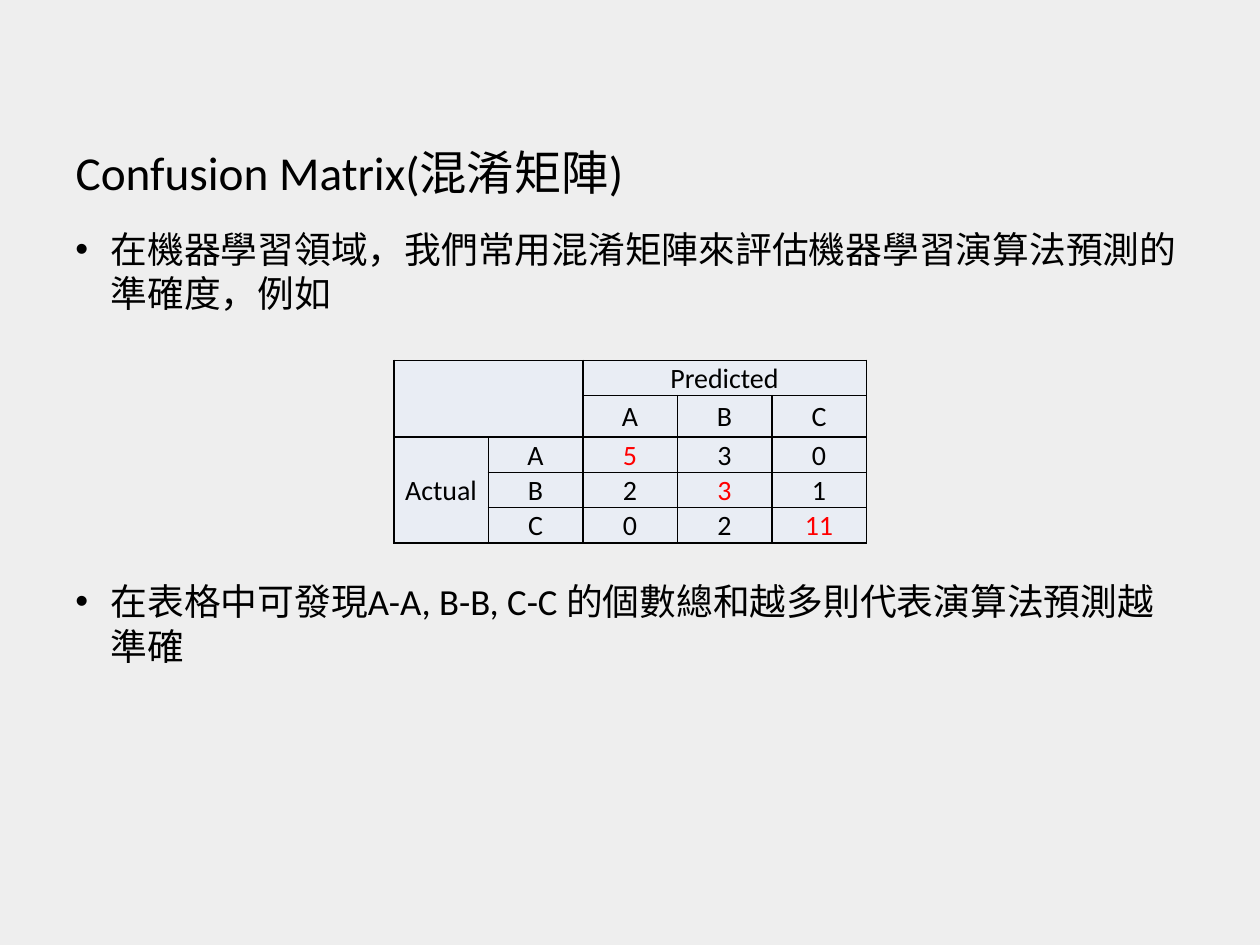
from dataclasses import dataclass
from lxml.etree import SubElement
from pptx import Presentation
from pptx.dml.color import RGBColor
from pptx.enum.text import MSO_ANCHOR, MSO_AUTO_SIZE, PP_ALIGN
from pptx.oxml.ns import qn
from pptx.util import Inches, Pt


@dataclass(frozen=True)
class Theme:
    font: str = "Calibri"
    background: str = "EEEEEE"
    ink: str = "000000"
    hit: str = "FF0000"
    cell: str = "E9EDF4"
    title_size: int = 27
    body_size: int = 21
    table_size: int = 16


THEME = Theme()
HEADING = "Confusion Matrix(混淆矩陣)"
POINTS = [
    "在機器學習領域，我們常用混淆矩陣來評估機器學習演算法預測的準確度，例如",
    "在表格中可發現A-A, B-B, C-C 的個數總和越多則代表演算法預測越準確",
]
CLASSES = ["A", "B", "C"]
COUNTS = [[5, 3, 0], [2, 3, 1], [0, 2, 11]]
HEADERS = 2
MERGES = [((0, 0), (1, 1)), ((0, 2), (0, 4)), ((2, 0), (4, 0))]

WIDTH, HEIGHT = 10, 7.5
MARGIN = WIDTH * 0.05
COLUMN = 0.75
ROWS = [0.28, 0.33, 0.28, 0.28, 0.28]
MATRIX_TOP = 2.86
MATRIX_GAP = 151
INDENT = 0.28


def style(paragraph, size, color=THEME.ink):
    for run in paragraph.runs:
        run.font.name = THEME.font
        run.font.size = Pt(size)
        run.font.color.rgb = RGBColor.from_string(color)


def place(box, left, top, width, height):
    box.left, box.top = Inches(left), Inches(top)
    box.width, box.height = Inches(width), Inches(height)


def add_bullet(paragraph):
    props = paragraph._p.get_or_add_pPr()
    props.set("marL", str(Inches(INDENT)))
    props.set("indent", str(-Inches(INDENT)))
    SubElement(props, qn("a:buFont")).set("typeface", "Arial")
    SubElement(props, qn("a:buChar")).set("char", "•")


def add_borders(cell):
    props = cell._tc.get_or_add_tcPr()
    for side in ("lnL", "lnR", "lnT", "lnB"):
        line = SubElement(props, qn(f"a:{side}"), w=str(Pt(1)))
        fill = SubElement(line, qn("a:solidFill"))
        SubElement(fill, qn("a:srgbClr")).set("val", THEME.ink)


def format_cell(cell, text, color):
    add_borders(cell)
    cell.fill.solid()
    cell.fill.fore_color.rgb = RGBColor.from_string(THEME.cell)
    cell.vertical_anchor = MSO_ANCHOR.MIDDLE
    cell.margin_left = cell.margin_right = cell.margin_top = Inches(0.01)
    cell.margin_bottom = 0
    paragraph = cell.text_frame.paragraphs[0]
    paragraph.alignment = PP_ALIGN.CENTER
    if text:
        paragraph.text = text
        style(paragraph, THEME.table_size, color)
    else:
        end = SubElement(paragraph._p, qn("a:endParaRPr"))
        end.set("sz", str(THEME.table_size * 100))


def add_heading(slide):
    title = slide.shapes.title
    place(title, MARGIN, 0.39, WIDTH - 2 * MARGIN, 1.25)
    title.text_frame.text = HEADING
    title.text_frame.vertical_anchor = MSO_ANCHOR.BOTTOM
    title.text_frame.auto_size = MSO_AUTO_SIZE.NONE
    paragraph = title.text_frame.paragraphs[0]
    paragraph.alignment = PP_ALIGN.LEFT
    style(paragraph, THEME.title_size)


def add_points(slide):
    body = slide.shapes.add_textbox(0, 0, 0, 0)
    place(body, MARGIN, 1.75, WIDTH - 2 * MARGIN, 4.95)
    frame = body.text_frame
    frame.word_wrap = True
    frame.text = "\n".join(POINTS)
    for paragraph in frame.paragraphs:
        add_bullet(paragraph)
        style(paragraph, THEME.body_size)
    frame.paragraphs[1].space_before = Pt(MATRIX_GAP)


def add_matrix(slide):
    labels = {(0, HEADERS): "Predicted", (HEADERS, 0): "Actual"}
    for i, name in enumerate(CLASSES):
        labels[1, HEADERS + i] = labels[HEADERS + i, 1] = name
        for j, count in enumerate(COUNTS[i]):
            labels[HEADERS + i, HEADERS + j] = str(count)

    size = HEADERS + len(CLASSES)
    width = size * COLUMN
    matrix = slide.shapes.add_table(
        size, size, Inches((WIDTH - width) / 2), Inches(MATRIX_TOP),
        Inches(width), Inches(sum(ROWS))).table
    matrix.first_row = matrix.horz_banding = False
    for column in matrix.columns:
        column.width = Inches(COLUMN)
    for row, height in zip(matrix.rows, ROWS):
        row.height = Inches(height)
    for r in range(size):
        for c in range(size):
            color = THEME.hit if r == c and r >= HEADERS else THEME.ink
            format_cell(matrix.cell(r, c), labels.get((r, c), ""), color)
    for first, last in MERGES:
        matrix.cell(*first).merge(matrix.cell(*last))


def main():
    deck = Presentation()
    deck.slide_width, deck.slide_height = Inches(WIDTH), Inches(HEIGHT)
    slide = deck.slides.add_slide(deck.slide_layouts[5])
    slide.background.fill.solid()
    slide.background.fill.fore_color.rgb = RGBColor.from_string(THEME.background)
    add_points(slide)
    add_heading(slide)
    add_matrix(slide)
    deck.save("out.pptx")


if __name__ == "__main__":
    main()
